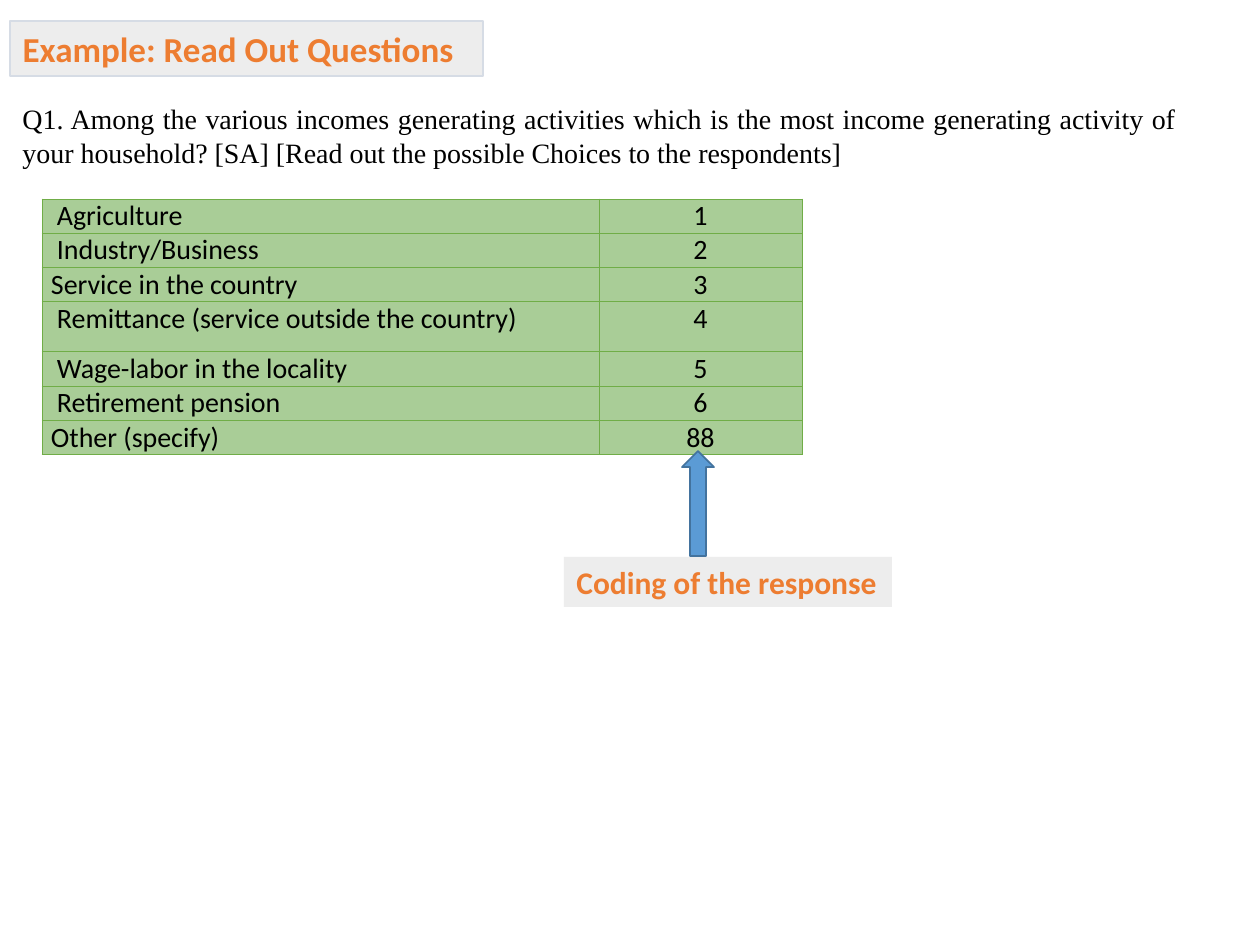
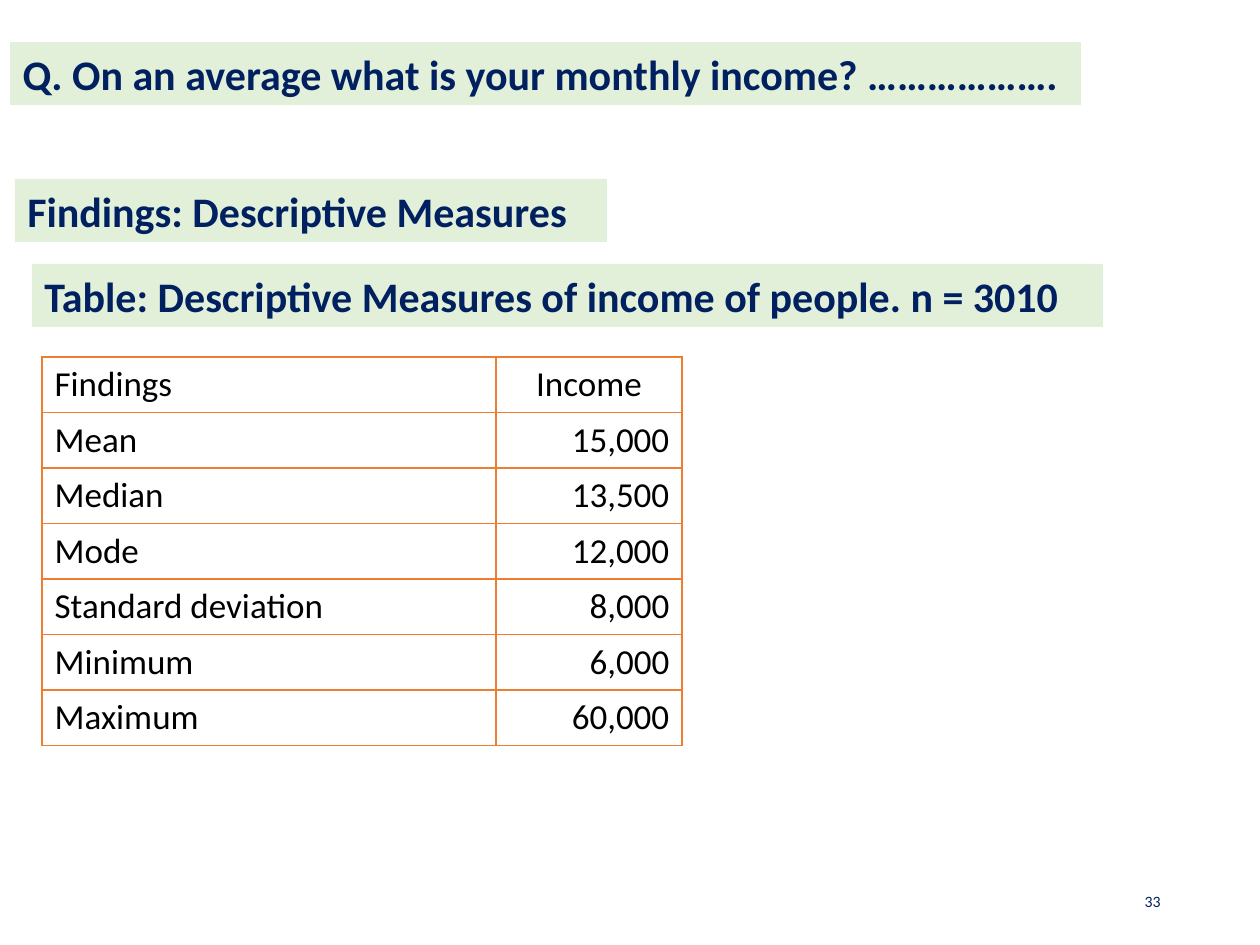
import pptx
import pptx.dml.color
import pptx.enum.shapes
import pptx.enum.text
import pptx.oxml
import pptx.oxml.ns
import pptx.util

ALIGN = pptx.enum.text.PP_ALIGN
ANCHOR = pptx.enum.text.MSO_ANCHOR
SHAPE = pptx.enum.shapes.MSO_SHAPE
EMU_PER_PX = 914400 / 126

ORANGE, NAVY, BLACK = "ED7D31", "002060", "000000"
GREY, MINT, GREEN = "EDEDED", "E2F0D9", "A9CD97"
TITLE_ONLY = 5

# Text formats: font values plus colour
EXAMPLE_TITLE = {"name": "Calibri", "size": 20, "bold": True, "color": ORANGE}
CALLOUT = {**EXAMPLE_TITLE, "size": 18}
HEADING = {"name": "Calibri", "size": 24, "bold": True, "color": NAVY}
QUESTION = {"name": "Times New Roman", "size": 16, "color": BLACK}
CHOICE = {"name": "Calibri", "size": 16, "color": BLACK}
MEASURE = {"name": "Calibri", "size": 20, "color": BLACK}
PAGE_NUMBER = {"name": "Calibri", "size": 9, "color": NAVY}

QUESTION_TEXT = (
    "Q1. Among the various incomes generating activities which is the most income "
    "generating activity of your household? [SA] [Read out the possible Choices to "
    "the respondents]"
)
# Label, code, and whether the label is indented
CHOICES = [
    ("Agriculture", "1", True),
    ("Industry/Business", "2", True),
    ("Service in the country", "3", False),
    ("Remittance (service outside the country)", "4", True),
    ("Wage-labor in the locality", "5", True),
    ("Retirement pension", "6", True),
    ("Other (specify)", "88", False),
]
TALL_CHOICE, TALL_HEIGHT = 3, 50
MEASURES = [
    ("Findings", "Income"),
    ("Mean", "15,000"),
    ("Median", "13,500"),
    ("Mode", "12,000"),
    ("Standard deviation", "8,000"),
    ("Minimum", "6,000"),
    ("Maximum", "60,000"),
]


def px(length):
    return pptx.util.Emu(round(length * EMU_PER_PX))


def rgb(value):
    return pptx.dml.color.RGBColor.from_string(value)


def write(frame, text, style, align=ALIGN.LEFT):
    frame.text = text
    para = frame.paragraphs[0]
    para.alignment = align
    for name, value in style.items():
        if name == "color":
            para.font.color.rgb = rgb(value)
        else:
            setattr(para.font, name, pptx.util.Pt(value) if name == "size" else value)


def paint(shape, fill, line=None, width=0.75):
    shape.fill.solid()
    shape.fill.fore_color.rgb = rgb(fill)
    if line:
        shape.line.color.rgb = rgb(line)
        shape.line.width = pptx.util.Pt(width)
    else:
        shape.line.fill.background()


def fill_frame(box, text, style, align=ALIGN.LEFT, anchor=ANCHOR.TOP, wrap=True):
    frame = box.text_frame
    frame.auto_size = pptx.enum.text.MSO_AUTO_SIZE.NONE
    frame.word_wrap = wrap
    frame.vertical_anchor = anchor
    write(frame, text, style, align)


def add_titled_page(deck, text, place, style, fill, line=None):
    page = deck.slides.add_slide(deck.slide_layouts[TITLE_ONLY])
    title = page.shapes.title
    title.left, title.top, title.width, title.height = map(px, place)
    paint(title, fill, line)
    fill_frame(title, text, style)
    return page


def add_band(page, text, place, style, fill):
    band = page.shapes.add_shape(SHAPE.RECTANGLE, *map(px, place))
    band.shadow.inherit = False
    paint(band, fill)
    fill_frame(band, text, style, wrap=False)


def add_text(page, text, place, style, align):
    box = page.shapes.add_textbox(*map(px, place))
    fill_frame(box, text, style, align, ANCHOR.MIDDLE)


def add_grid(page, row_count, place, column_widths):
    table = page.shapes.add_table(row_count, len(column_widths), *map(px, place)).table
    table.first_row = table.horz_banding = False
    for column, width in zip(table.columns, column_widths):
        column.width = px(width)
    return table


def border_cell(cell, color, width):
    properties = cell._tc.get_or_add_tcPr()
    for side in "LRTB":
        properties.append(pptx.oxml.parse_xml(
            f'<a:ln{side} {pptx.oxml.ns.nsdecls("a")} w="{pptx.util.Pt(width)}">'
            f'<a:solidFill><a:srgbClr val="{color}"/></a:solidFill></a:ln{side}>'))


def add_choices(page):
    place = (42, 199, 760, 252)
    table = add_grid(page, len(CHOICES), place, (557, 203))
    row_height = (place[3] - TALL_HEIGHT) / (len(CHOICES) - 1)
    for index, (label, code, indented) in enumerate(CHOICES):
        table.rows[index].height = px(TALL_HEIGHT if index == TALL_CHOICE else row_height)
        for column, (text, align) in enumerate([(label, ALIGN.JUSTIFY), (code, ALIGN.CENTER)]):
            cell = table.cell(index, column)
            border_cell(cell, "70AD47", 0.5)
            cell.fill.solid()
            cell.fill.fore_color.rgb = rgb(GREEN)
            cell.margin_left = px(15 if indented and column == 0 else 9)
            cell.margin_right = px(9)
            cell.margin_top = cell.margin_bottom = 0
            write(cell.text_frame, text, CHOICE, align)


def add_measures(page):
    table = add_grid(page, len(MEASURES), (42, 357, 640, 388), (454, 186))
    for index, row in enumerate(MEASURES):
        value_align = ALIGN.RIGHT if index else ALIGN.CENTER
        for column, (text, align) in enumerate(zip(row, (ALIGN.LEFT, value_align))):
            cell = table.cell(index, column)
            border_cell(cell, ORANGE, 1)
            cell.fill.background()
            cell.vertical_anchor = ANCHOR.BOTTOM
            write(cell.text_frame, text, MEASURE, align)


def build_example(deck):
    page = add_titled_page(deck, "Example: Read Out Questions", (10, 21, 473, 55),
                           EXAMPLE_TITLE, GREY, "D6DCE5")
    add_choices(page)
    add_text(page, QUESTION_TEXT, (10, 95, 1179, 81), QUESTION, ALIGN.JUSTIFY)
    add_band(page, "Coding of the response", (564, 557, 328, 50), CALLOUT, GREY)
    arrow = page.shapes.add_shape(SHAPE.UP_ARROW, *map(px, (682, 451, 32, 105)))
    arrow.shadow.inherit = False
    paint(arrow, "5B9BD5", "43739E", 1)


def build_findings(deck):
    page = add_titled_page(deck, "Q. On an average what is your monthly income? ……………….",
                           (10, 42, 1071, 63), HEADING, MINT)
    add_band(page, "Findings: Descriptive Measures", (15, 179, 592, 63), HEADING, MINT)
    add_band(page, "Table: Descriptive Measures of income of people. n = 3010",
             (32, 264, 1071, 63), HEADING, MINT)
    add_measures(page)
    add_text(page, "33", (890, 876, 283, 50), PAGE_NUMBER, ALIGN.RIGHT)


def main():
    deck = pptx.Presentation()
    deck.slide_width, deck.slide_height = px(1260), px(945)
    build_example(deck)
    build_findings(deck)
    deck.save("out.pptx")


if __name__ == "__main__":
    main()
